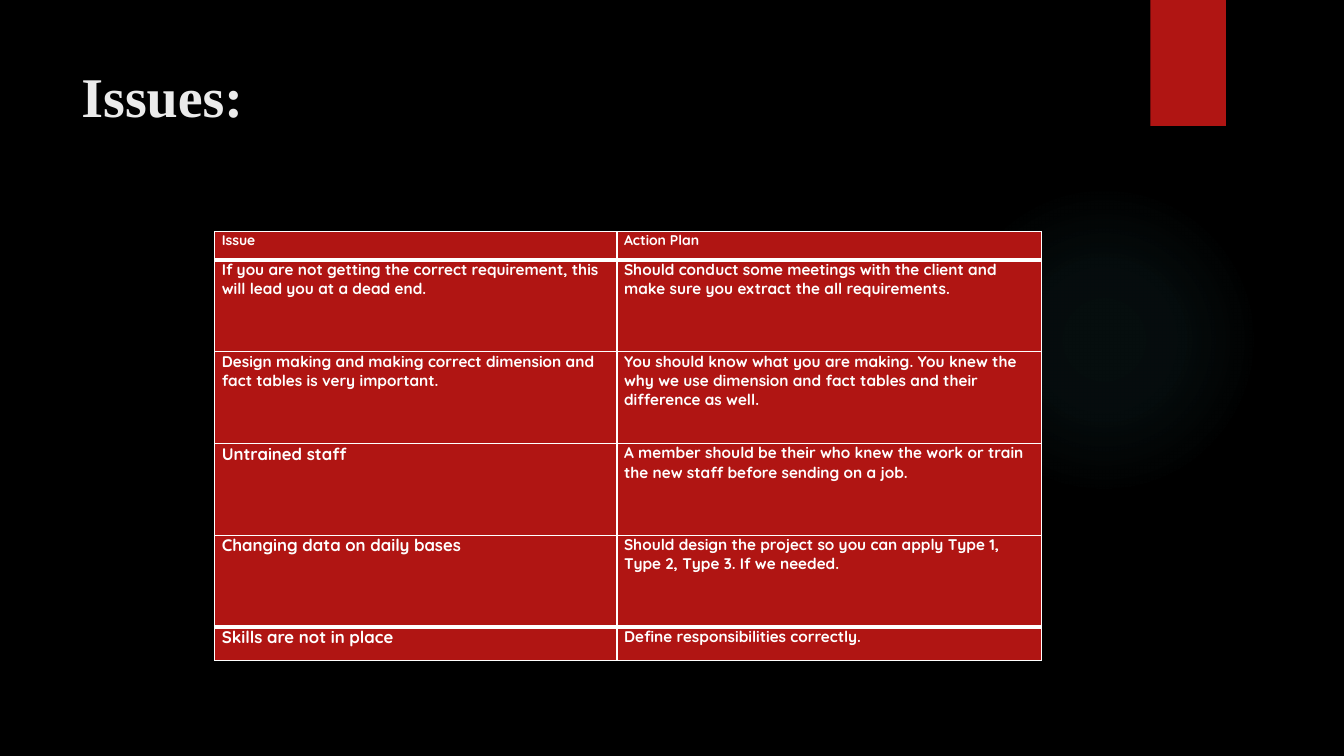
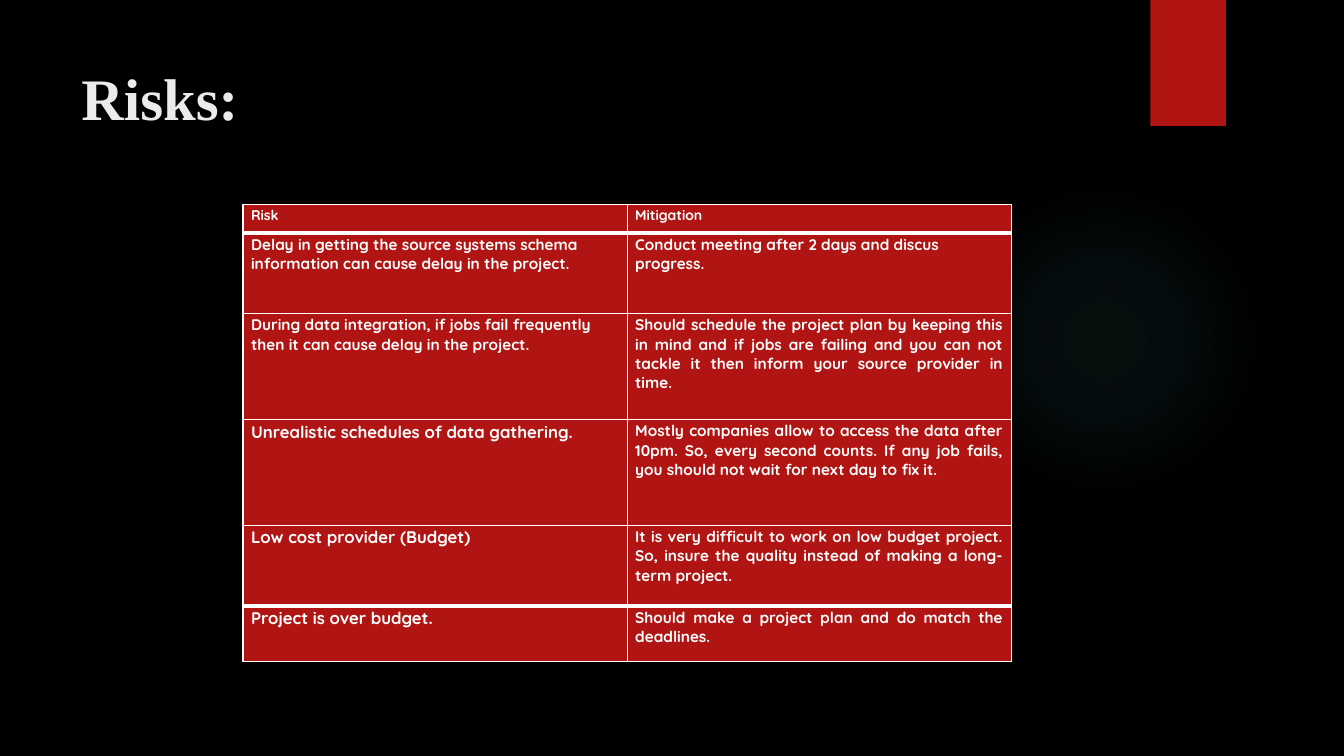
import dataclasses

import lxml.etree
import pptx
import pptx.dml.color
import pptx.enum.shapes
import pptx.enum.text
import pptx.oxml
import pptx.oxml.ns
import pptx.util

Inches, Pt = pptx.util.Inches, pptx.util.Pt
Align = pptx.enum.text.PP_ALIGN
Shape = pptx.enum.shapes.MSO_SHAPE
rgb = pptx.dml.color.RGBColor.from_string
qn = pptx.oxml.ns.qn


@dataclasses.dataclass(frozen=True)
class Theme:
    background: str = "000000"
    accent: str = "B01513"
    glow: str = "50B9C1"
    title: str = "EBEBEB"
    text: str = "FFFFFF"
    title_font: str = "Times New Roman"
    table_font: str = "Quicksand"
    header_size: int = 10
    body_size: int = 11
    short_label_size: int = 12
    thin_line: int = 1
    thick_line: int = 3


THEME = Theme()
FIRST_SHORT_LABEL = 3  # from this row on, the left column is set larger

PAGES = [
    {
        "title": "Issues:", "title_size": 40,
        "left": 2.13, "top": 2.3, "columns": [3.99, 4.21],
        "heights": [0.28, 0.91, 0.91, 0.91, 0.91, 0.33],
        "margins": (0.07, 0), "first_justified": 5,
        "rows": [
            ("Issue", "Action Plan"),
            ("If you are not getting the correct requirement, this will lead you at a dead end.",
             "Should conduct some meetings with the client and make sure you extract the all "
             "requirements."),
            ("Design making and making correct dimension and fact tables is very important.",
             "You should know what you are making. You knew the why we use dimension and fact "
             "tables and their difference as well."),
            ("Untrained staff",
             "A member should be their who knew the work or train the new staff before sending "
             "on a job."),
            ("Changing data on daily bases",
             "Should design the project so you can apply Type 1, Type 2, Type 3. If we needed."),
            ("Skills are not in place", "Define responsibilities correctly."),
        ],
    },
    {
        "title": "Risks:", "title_size": 42,
        "left": 2.41, "top": 2.03, "columns": [3.81, 3.81],
        "heights": [0.28, 0.8, 1.05, 1.05, 0.8, 0.55],
        "margins": (0.08, 0.02), "first_justified": 2,
        "rows": [
            ("Risk", "Mitigation"),
            ("Delay in getting the source systems schema information can cause delay in the "
             "project.",
             "Conduct meeting after 2 days and discus progress."),
            ("During data integration, if jobs fail frequently then it can cause delay in the "
             "project.",
             "Should schedule the project plan by keeping this in mind and if jobs are failing "
             "and you can not tackle it then inform your source provider in time."),
            ("Unrealistic schedules of data gathering.",
             "Mostly companies allow to access the data after 10pm. So, every second counts. If "
             "any job fails, you should not wait for next day to fix it."),
            ("Low cost provider (Budget)",
             "It is very difficult to work on low budget project. So, insure the quality instead "
             "of making a long-term project."),
            ("Project is over budget.",
             "Should make a project plan and do match the deadlines."),
        ],
    },
]


def style_text(para, font, size, color):
    for span in para.runs:
        span.font.name = font
        span.font.size = Pt(size)
        span.font.bold = True
        span.font.color.rgb = rgb(color)


def set_borders(cell, top, bottom):
    """Draw all four cell borders; top and bottom are widths in points."""
    props = cell._tc.get_or_add_tcPr()
    widths = {"lnL": THEME.thin_line, "lnR": THEME.thin_line, "lnT": top, "lnB": bottom}
    for position, (tag, width) in enumerate(widths.items()):
        line = lxml.etree.Element(qn("a:" + tag), w=str(Pt(width)))
        fill = lxml.etree.SubElement(line, qn("a:solidFill"))
        lxml.etree.SubElement(fill, qn("a:srgbClr"), val=THEME.text)
        props.insert(position, line)


deck = pptx.Presentation()
deck.slide_width, deck.slide_height = Inches(13.33), Inches(7.5)

for content in PAGES:
    page = deck.slides.add_slide(deck.slide_layouts[6])
    page.background.fill.solid()
    page.background.fill.fore_color.rgb = rgb(THEME.background)

    # Faint glow and bookmark
    glow = page.shapes.add_shape(
        Shape.OVAL, Inches(9.41), Inches(1.83), Inches(3.08), Inches(3.08))
    bookmark = page.shapes.add_shape(
        Shape.RECTANGLE, Inches(11.41), 0, Inches(0.75), Inches(1.25))
    for shape in (glow, bookmark):
        shape.shadow.inherit = False
        shape.line.fill.background()
    bookmark.fill.solid()
    bookmark.fill.fore_color.rgb = rgb(THEME.accent)
    stops = "".join(
        f'<a:gs pos="{place * 1000}"><a:srgbClr val="{THEME.glow}">'
        f'<a:alpha val="{alpha * 1000}"/></a:srgbClr></a:gs>'
        for place, alpha in [(0, 7), (36, 6), (69, 0)])
    gradient = pptx.oxml.parse_xml(
        f'<a:gradFill {pptx.oxml.ns.nsdecls("a")}><a:gsLst>{stops}</a:gsLst>'
        '<a:path path="circle"><a:fillToRect l="50000" t="50000" r="50000" b="50000"/></a:path>'
        '</a:gradFill>')
    glow._element.spPr.find(qn("a:prstGeom")).addnext(gradient)

    # Title
    box = page.shapes.add_textbox(Inches(0.71), Inches(0.5), Inches(10.29), Inches(1.53))
    box.text_frame.word_wrap = True
    box.text_frame.margin_top = Inches(0.11)
    box.text_frame.text = content["title"]
    style_text(box.text_frame.paragraphs[0], THEME.title_font, content["title_size"], THEME.title)

    # Table
    rows, columns, heights = content["rows"], content["columns"], content["heights"]
    table = page.shapes.add_table(
        len(rows), len(columns), Inches(content["left"]), Inches(content["top"]),
        Inches(sum(columns)), Inches(sum(heights))).table
    table.first_row = table.horz_banding = False
    for column, width in zip(table.columns, columns):
        column.width = Inches(width)
    for row, height in zip(table.rows, heights):
        row.height = Inches(height)

    side, edge = content["margins"]
    last = len(rows) - 1
    for r, texts in enumerate(rows):
        top = THEME.thick_line if r in (1, last) else THEME.thin_line
        bottom = THEME.thick_line if r in (0, last - 1) else THEME.thin_line
        for c, text in enumerate(texts):
            cell = table.cell(r, c)
            cell.margin_left = cell.margin_right = Inches(side)
            cell.margin_top = cell.margin_bottom = Inches(edge)
            cell.fill.solid()
            cell.fill.fore_color.rgb = rgb(THEME.accent)
            set_borders(cell, top, bottom)

            cell.text_frame.text = text
            para = cell.text_frame.paragraphs[0]
            if r == 0:
                size = THEME.header_size
                para.space_before = para.space_after = Pt(3)
            else:
                short_label = c == 0 and r >= FIRST_SHORT_LABEL
                size = THEME.short_label_size if short_label else THEME.body_size
                para.space_after = Pt(6)
            justified = c == 1 and r >= content["first_justified"]
            para.alignment = Align.JUSTIFY if justified else Align.LEFT
            style_text(para, THEME.table_font, size, THEME.text)

deck.save("out.pptx")
